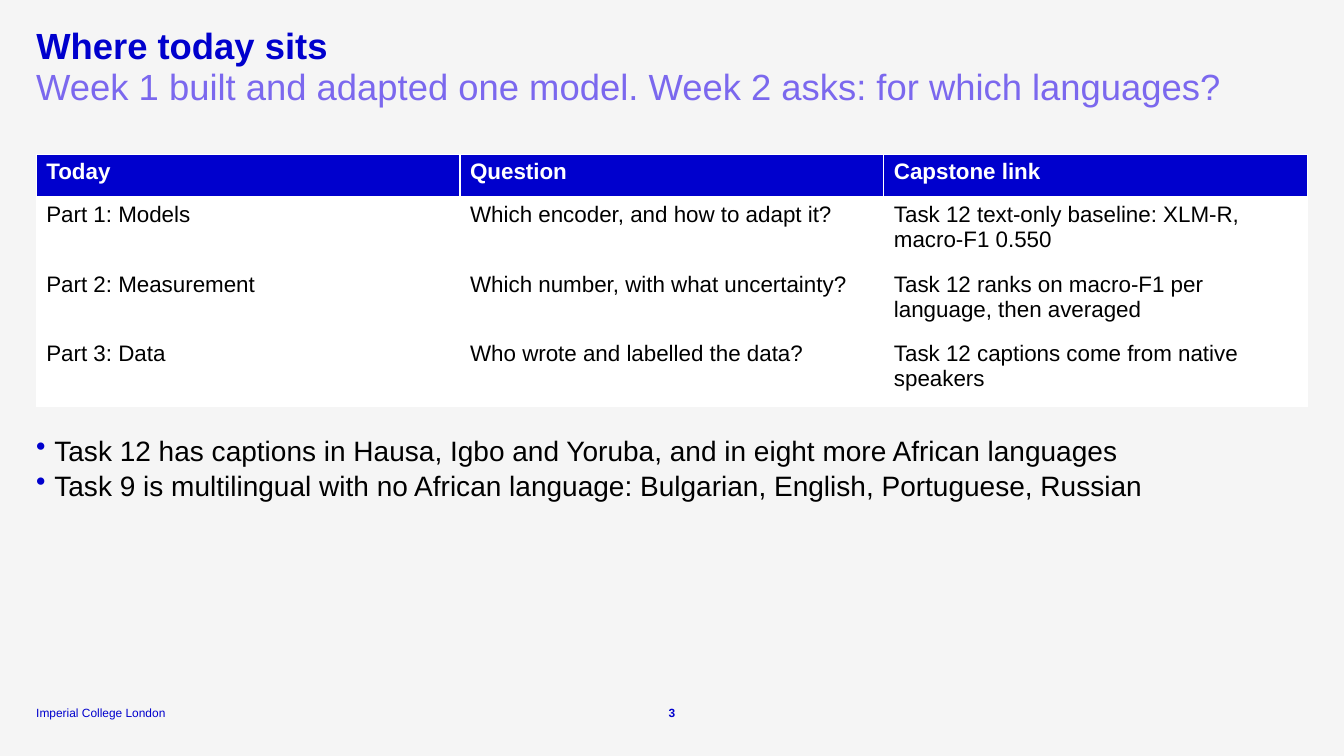
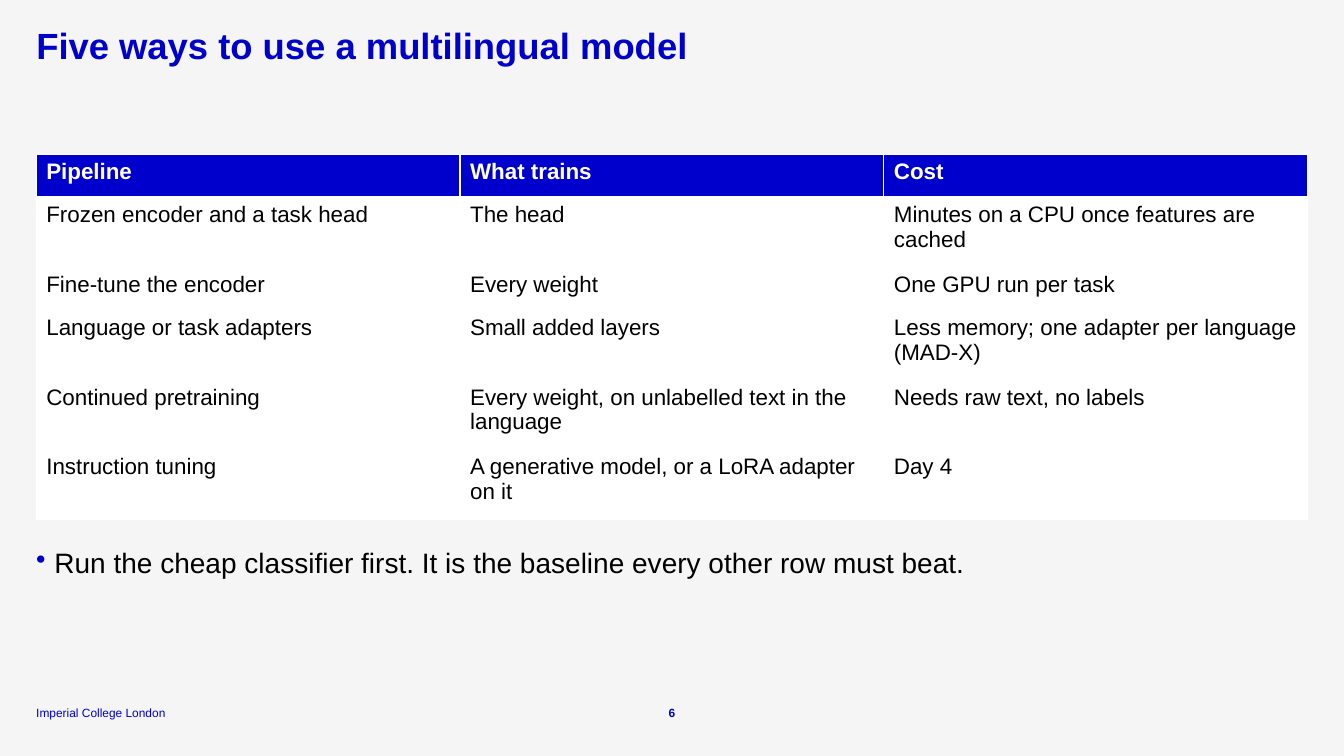
from dataclasses import dataclass

from lxml import etree
from pptx import Presentation
from pptx.dml.color import RGBColor
from pptx.enum.text import MSO_ANCHOR, MSO_AUTO_SIZE, PP_ALIGN
from pptx.oxml.ns import qn
from pptx.util import Inches, Pt

LEFT, CENTER = PP_ALIGN.LEFT, PP_ALIGN.CENTER
TOP, BOTTOM = MSO_ANCHOR.TOP, MSO_ANCHOR.BOTTOM
NO_FIT = MSO_AUTO_SIZE.NONE
SLIDE_W, SLIDE_H = Inches(13.33), Inches(7.5)


@dataclass(frozen=True)
class Theme:
    """Colours, font and type sizes shared by all slides."""
    font: str = "Arial"
    page: str = "F5F5F5"
    brand: str = "0000CD"
    accent: str = "7B68EE"
    ink: str = "000000"
    paper: str = "FFFFFF"
    title: float = 26
    bullet: float = 20
    cell: float = 16
    footer: float = 8.5


@dataclass(frozen=True)
class Box:
    """A region in percent of the slide's width and height."""
    x: float
    y: float
    w: float
    h: float

    def emu(self):
        """Return left, top, width and height as slide lengths."""
        return (int(SLIDE_W * self.x / 100), int(SLIDE_H * self.y / 100),
                int(SLIDE_W * self.w / 100), int(SLIDE_H * self.h / 100))


T = Theme()
MARGIN, CONTENT_W = 2.7, 94.6
TITLE = Box(MARGIN, 3.7, CONTENT_W, 5.5)
SUBTITLE = Box(MARGIN, 9.1, CONTENT_W, 5.5)
FOOTER = Box(MARGIN, 93.2, 11.6, 2)
NUMBER = Box(48.7, 93.2, 2.6, 2)
TABLE_TOP, GAP, BULLET_H = 20.4, 3.33, 6.55
ROW_H, TALL_ROW_H, LINE_CHARS = 5.73, 9.2, 38
FOOTER_TEXT = "Imperial College London"

SLIDES = [
    {
        "number": 3,
        "title": "Where today sits",
        "subtitle": "Week 1 built and adapted one model. Week 2 asks: for which languages?",
        "table": [
            ("Today", "Question", "Capstone link"),
            ("Part 1: Models", "Which encoder, and how to adapt it?",
             "Task 12 text-only baseline: XLM-R, macro-F1 0.550"),
            ("Part 2: Measurement", "Which number, with what uncertainty?",
             "Task 12 ranks on macro-F1 per language, then averaged"),
            ("Part 3: Data", "Who wrote and labelled the data?",
             "Task 12 captions come from native speakers"),
        ],
        "bullets": [
            "Task 12 has captions in Hausa, Igbo and Yoruba, and in eight more African languages",
            "Task 9 is multilingual with no African language: Bulgarian, English, Portuguese, Russian",
        ],
    },
    {
        "number": 6,
        "title": "Five ways to use a multilingual model",
        "subtitle": None,
        "table": [
            ("Pipeline", "What trains", "Cost"),
            ("Frozen encoder and a task head", "The head",
             "Minutes on a CPU once features are cached"),
            ("Fine-tune the encoder", "Every weight", "One GPU run per task"),
            ("Language or task adapters", "Small added layers",
             "Less memory; one adapter per language (MAD-X)"),
            ("Continued pretraining",
             "Every weight, on unlabelled text in the language",
             "Needs raw text, no labels"),
            ("Instruction tuning",
             "A generative model, or a LoRA adapter on it", "Day 4"),
        ],
        "bullets": [
            "Run the cheap classifier first. It is the baseline every other row must beat.",
        ],
    },
]


def style(p, size, color, bold=False):
    """Format every run of a paragraph."""
    for r in p.runs:
        r.font.name = T.font
        r.font.size = Pt(size)
        r.font.bold = bold
        r.font.color.rgb = RGBColor.from_string(color)


def fill_text(sp, lines, size, color, bold=False, align=LEFT, anchor=TOP, spacing=1.0):
    """Write lines into a shape without insets and return its paragraphs."""
    tf = sp.text_frame
    tf.text = "\n".join(lines)
    tf.word_wrap, tf.auto_size, tf.vertical_anchor = True, NO_FIT, anchor
    tf.margin_left = tf.margin_right = tf.margin_top = tf.margin_bottom = 0
    for p in tf.paragraphs:
        p.alignment, p.line_spacing = align, spacing
        style(p, size, color, bold)
    return tf.paragraphs


def add_text(s, box, lines, size, color, **options):
    """Add a text box and return its paragraphs."""
    return fill_text(s.shapes.add_textbox(*box.emu()), lines, size, color, **options)


def add_heading(s, title, subtitle):
    """Place the title and, if there is one, the subtitle below it."""
    sp = s.shapes.title
    sp.left, sp.top, sp.width, sp.height = TITLE.emu()
    fill_text(sp, [title], T.title, T.brand, bold=True, spacing=0.9)
    if subtitle:
        add_text(s, SUBTITLE, [subtitle], T.title, T.accent, spacing=0.9)


def add_bullets(s, box, lines):
    """Add a bulleted list with coloured markers."""
    for p in add_text(s, box, lines, T.bullet, T.ink, spacing=1.05):
        pPr = p._p.get_or_add_pPr()
        pPr.set("marL", str(Inches(0.18)))
        pPr.set("indent", str(-Inches(0.18)))
        clr = etree.SubElement(pPr, qn("a:buClr"))
        etree.SubElement(clr, qn("a:srgbClr"), val=T.brand)
        etree.SubElement(pPr, qn("a:buChar"), char="•")


def add_borders(cell, bottom):
    """Give a cell white borders with the given bottom width."""
    tcPr = cell._tc.get_or_add_tcPr()
    for side, width in (("L", 1), ("R", 1), ("T", 1), ("B", bottom)):
        ln = etree.SubElement(tcPr, qn(f"a:ln{side}"), w=str(Pt(width)))
        solid = etree.SubElement(ln, qn("a:solidFill"))
        etree.SubElement(solid, qn("a:srgbClr"), val=T.paper)


def style_cell(cell, text, header):
    """Write and format one table cell."""
    cell.text = text
    add_borders(cell, 3 if header else 1)
    cell.fill.solid()
    cell.fill.fore_color.rgb = RGBColor.from_string(T.brand if header else T.paper)
    style(cell.text_frame.paragraphs[0], T.cell, T.paper if header else T.ink, header)


def row_heights(rows):
    """Return a taller height for each row whose longest text wraps."""
    return [TALL_ROW_H if max(map(len, row)) > LINE_CHARS else ROW_H for row in rows]


def add_grid(s, box, rows, heights):
    """Add a table with equal columns."""
    left, top, width, height = box.emu()
    cols = len(rows[0])
    table = s.shapes.add_table(len(rows), cols, left, top, width, height).table
    table.horz_banding = False
    for col in table.columns:
        col.width = width // cols
    for i, (row, h) in enumerate(zip(rows, heights)):
        table.rows[i].height = int(SLIDE_H * h / 100)
        for j, text in enumerate(row):
            style_cell(table.cell(i, j), text, header=i == 0)


def add_footer(s, number):
    """Place the footer text and the page number."""
    add_text(s, FOOTER, [FOOTER_TEXT], T.footer, T.brand, anchor=BOTTOM)
    add_text(s, NUMBER, [str(number)], T.footer, T.brand, bold=True,
             align=CENTER, anchor=BOTTOM)


def add_table_slide(prs, content):
    """Build a slide with a heading, a table and bullets below it."""
    s = prs.slides.add_slide(prs.slide_layouts[5])
    rows, bullets = content["table"], content["bullets"]
    heights = row_heights(rows)
    table_box = Box(MARGIN, TABLE_TOP, CONTENT_W, sum(heights))
    list_top = table_box.y + table_box.h + GAP
    add_heading(s, content["title"], content["subtitle"])
    add_grid(s, table_box, rows, heights)
    add_bullets(s, Box(MARGIN, list_top, CONTENT_W, BULLET_H * len(bullets)), bullets)
    add_footer(s, content["number"])


def main():
    """Build and save the presentation."""
    prs = Presentation()
    prs.slide_width, prs.slide_height = SLIDE_W, SLIDE_H
    bg = prs.slide_master.background.fill
    bg.solid()
    bg.fore_color.rgb = RGBColor.from_string(T.page)
    for content in SLIDES:
        add_table_slide(prs, content)
    prs.save("out.pptx")


if __name__ == "__main__":
    main()
